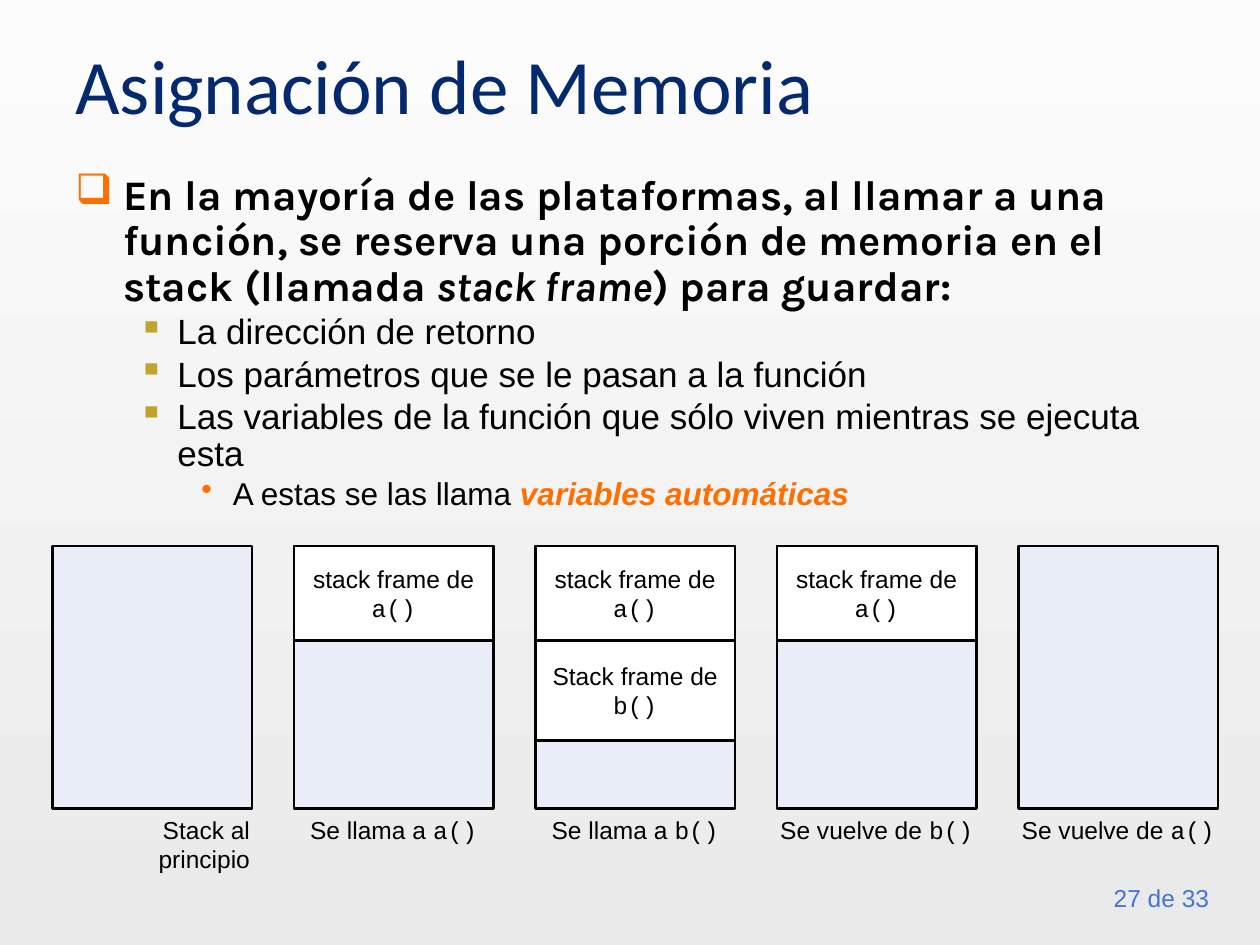
from lxml import etree
from pptx import Presentation
from pptx import util as u
from pptx.dml.color import RGBColor
from pptx.enum import shapes, text
from pptx.oxml import ns

THEME = {
    "title": ("Calibri", 44, "05296E"),
    "lead": ("Karla", 24, "000000"),
    "item": ("Arial", 20, "000000"),
    "detail": ("Arial", 18, "000000"),
    "accent": ("Arial", 18, "FF6E00"),
    "label": ("Arial", 14, "000000"),
    "code": ("Courier New", 14, "000000"),
    "number": ("Arial", 14, "4575D4"),
    "top": "FCFCFC", "bottom": "EAEAEA",
    "stack": "E8EDF8", "frame": "FFFFFF", "edge": "000000",
    "orange": "FF6F00", "olive": "BFA530",
}
ALIGN = text.PP_ALIGN

deck = Presentation()
deck.slide_width, deck.slide_height = u.Inches(10), u.Inches(7.5)
page = deck.slides.add_slide(deck.slide_layouts[6])
column = deck.slide_width / 120
row = deck.slide_height / 90

backdrop = page.background.fill
backdrop.gradient()
backdrop.gradient_angle = 270
for stop, shade in zip(backdrop.gradient_stops, ("top", "bottom")):
    stop.color.rgb = RGBColor.from_string(THEME[shade])


def add_box(left, top, width, height, fill=None):
    area = [int(n) for n in (left * column, top * row, width * column, height * row)]
    if fill is None:
        box = page.shapes.add_textbox(*area)
    else:
        box = page.shapes.add_shape(shapes.MSO_SHAPE.RECTANGLE, *area)
        box.shadow.inherit = False
        box.fill.solid()
        box.fill.fore_color.rgb = RGBColor.from_string(THEME[fill])
        box.line.color.rgb = RGBColor.from_string(THEME["edge"])
        box.line.width = u.Pt(1.5)
    box.text_frame.word_wrap = True
    return box


def write(para, spans, align=ALIGN.LEFT):
    para.alignment = align
    for words, style, *marks in spans:
        span = para.add_run()
        span.text = words
        name, size, color = THEME[style]
        span.font.name, span.font.size = name, u.Pt(size)
        span.font.color.rgb = RGBColor.from_string(color)
        span.font.bold, span.font.italic = "bold" in marks, "italic" in marks


number = add_box(89, 83.5, 28, 4.2)
write(number.text_frame.paragraphs[0], [("27 de 33 ", "number")], ALIGN.RIGHT)

title = add_box(6, 3, 111, 12)
title.text_frame.vertical_anchor = text.MSO_ANCHOR.MIDDLE
heading = title.text_frame.paragraphs[0]
heading.line_spacing = u.Pt(40)
write(heading, [("Asignación de Memoria", "title")])

LEVELS = [
    (0.38, 0.38, 12, "❑", "orange"),
    (0.81, 0.31, 2.5, "▪", "olive"),
    (1.25, 0.25, 2.2, "•", "orange"),
]
OUTLINE = [
    (0, [("En la mayoría de las plataformas, al llamar a una función, se reserva "
          "una porción de memoria en el stack (llamada ", "lead", "bold"),
         ("stack frame", "lead", "bold", "italic"),
         (") para guardar:", "lead", "bold")]),
    (1, [("La dirección de retorno", "item")]),
    (1, [("Los parámetros que se le pasan a la función", "item")]),
    (1, [("Las variables de la función que sólo viven mientras se ejecuta esta", "item")]),
    (2, [("A estas se las llama ", "detail"),
         ("variables automáticas", "accent", "bold", "italic")]),
]
body = add_box(6, 16, 108, 70).text_frame
for index, (level, spans) in enumerate(OUTLINE):
    para = body.add_paragraph() if index else body.paragraphs[0]
    margin, hanging, before, bullet, color = LEVELS[level]
    para.level = level
    para.line_spacing = 0.9
    para.space_before = u.Pt(before)
    write(para, spans)
    settings = para._p.get_or_add_pPr()
    settings.set("marL", str(u.Inches(margin)))
    settings.set("indent", str(-u.Inches(hanging)))
    tint = etree.SubElement(settings, ns.qn("a:buClr"))
    etree.SubElement(tint, ns.qn("a:srgbClr")).set("val", THEME[color])
    etree.SubElement(settings, ns.qn("a:buChar")).set("char", bullet)

FRAME_A = (52, 9, "stack frame de ", "a()")
FRAME_B = (61, 9.5, "Stack frame de ", "b()")
STAGES = [
    ("Stack al principio", "", []),
    ("Se llama a ", "a()", [FRAME_A]),
    ("Se llama a ", "b()", [FRAME_B, FRAME_A]),
    ("Se vuelve de ", "b()", [FRAME_A]),
    ("Se vuelve de ", "a()", []),
]
for index, (caption, call, frames) in enumerate(STAGES):
    left = 5 + 23 * index
    add_box(left, 52, 19, 25, "stack")
    for top, height, words, function in frames:
        frame = add_box(left, top, 19, height, "frame").text_frame
        frame.vertical_anchor = text.MSO_ANCHOR.MIDDLE
        frame.paragraphs[0].space_before = u.Pt(8.8)
        write(frame.paragraphs[0], [(words, "label"), (function, "code")], ALIGN.CENTER)
    if call:
        spread = 1 if index > 2 else 0
        label = add_box(left - spread, 77, 19 + 2 * spread, 4).text_frame
        write(label.paragraphs[0], [(caption, "label"), (call, "code")], ALIGN.CENTER)
    else:
        label = add_box(left, 77, 20, 4).text_frame
        label.word_wrap = False
        write(label.paragraphs[0], [(caption, "label")], ALIGN.RIGHT)
    label.auto_size = text.MSO_AUTO_SIZE.SHAPE_TO_FIT_TEXT

deck.save("out.pptx")
